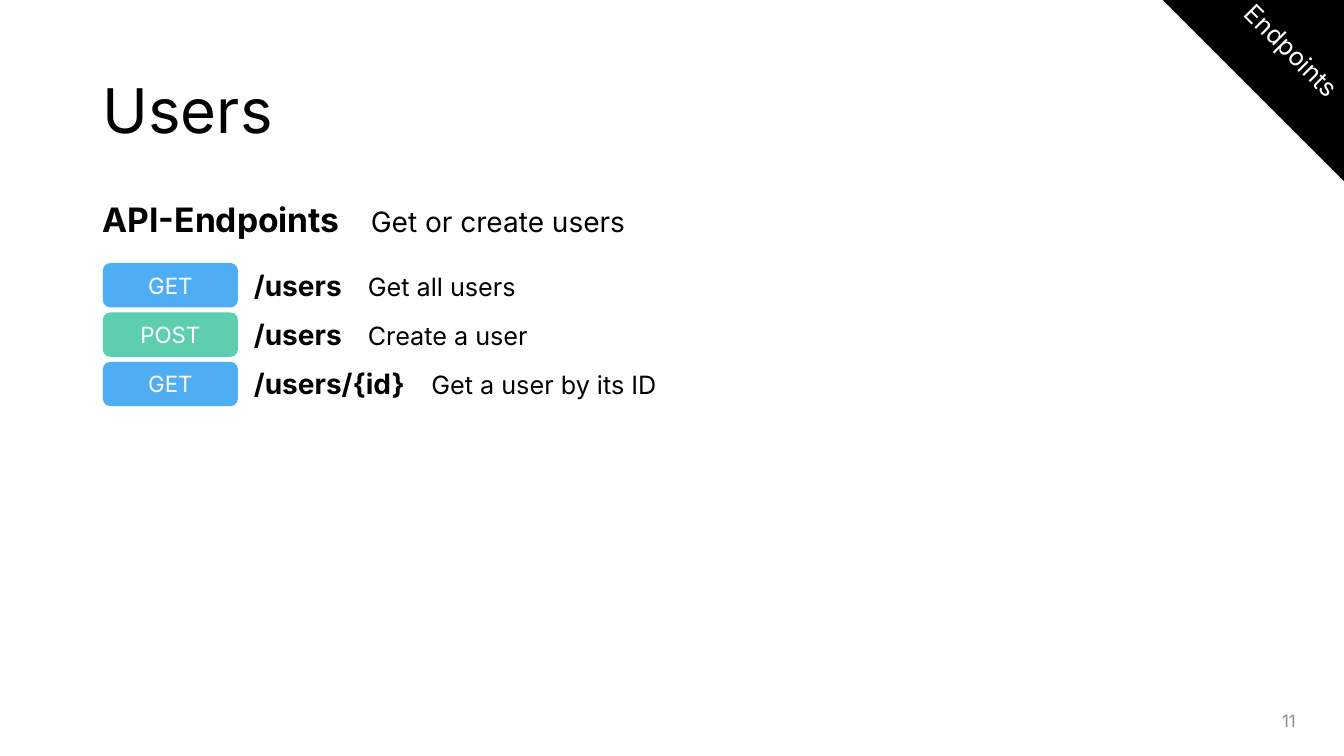
from dataclasses import dataclass

from lxml.etree import SubElement
from pptx import Presentation
from pptx.dml.color import RGBColor
from pptx.enum.shapes import MSO_SHAPE as Shape
from pptx.enum.text import MSO_ANCHOR as Anchor, PP_ALIGN as Align
from pptx.oxml.ns import qn
from pptx.util import Inches, Pt


@dataclass(frozen=True)
class Theme:
    font: str = "Inter"
    ink: str = "000000"
    paper: str = "FFFFFF"
    muted: str = "8C8C8C"
    get: str = "4FADF3"
    post: str = "5DCEAF"
    title: int = 44
    heading: int = 24
    lead: int = 20
    body: int = 18
    badge: int = 16
    footer: int = 12


THEME = Theme()
METHOD_COLORS = {"GET": THEME.get, "POST": THEME.post}
ENDPOINTS = [
    ("GET", "/users", "Get all users", 1.13),
    ("POST", "/users", "Create a user", 1.13),
    ("GET", "/users/{id}", "Get a user by its ID", 1.76),
]


def add_run(paragraph, text, size, color=THEME.ink, bold=False):
    run = paragraph.add_run()
    run.text = text
    run.font.name = THEME.font
    run.font.size = Pt(size)
    run.font.bold = bold
    run.font.color.rgb = RGBColor.from_string(color)


def add_text(slide, left, top, width, height, anchor=Anchor.TOP):
    label = slide.shapes.add_textbox(
        Inches(left), Inches(top), Inches(width), Inches(height))
    label.text_frame.word_wrap = True
    label.text_frame.vertical_anchor = anchor
    return label.text_frame.paragraphs[0]


def add_filled(slide, kind, left, top, width, height, color):
    panel = slide.shapes.add_shape(
        kind, Inches(left), Inches(top), Inches(width), Inches(height))
    panel.shadow.inherit = False
    panel.fill.solid()
    panel.fill.fore_color.rgb = RGBColor.from_string(color)
    panel.line.fill.background()
    panel.text_frame.paragraphs[0].alignment = Align.CENTER
    return panel


def add_term(slide, left, top, width, height, term, meaning, tab, sizes):
    line = add_text(slide, left, top, width, height)
    stops = SubElement(line._p.get_or_add_pPr(), qn("a:tabLst"))
    SubElement(stops, qn("a:tab"), pos=str(Inches(tab)), algn="l")
    term_size, meaning_size = sizes
    add_run(line, term + "\t", term_size, bold=True)
    add_run(line, meaning, meaning_size)


def add_title(slide, left, top, width, height, text):
    title = add_text(slide, left, top, width, height, Anchor.MIDDLE)
    title.line_spacing = 0.9
    add_run(title, text, THEME.title)


def add_endpoint(slide, left, top, width, height, method, route, summary, tab):
    badge_width, gap = 1.34, 0.06
    badge = add_filled(slide, Shape.ROUNDED_RECTANGLE, left, top,
                       badge_width, height, METHOD_COLORS[method])
    badge.text_frame.vertical_anchor = Anchor.MIDDLE
    add_run(badge.text_frame.paragraphs[0], method, THEME.badge, THEME.paper)
    offset = badge_width + gap
    add_term(slide, left + offset, top, width - offset, height,
             route, summary, tab, (THEME.lead, THEME.body))


def add_endpoint_list(slide, left, top, width, row_height, pitch):
    for index, endpoint in enumerate(ENDPOINTS):
        add_endpoint(slide, left, top + index * pitch, width, row_height, *endpoint)


def add_corner_ribbon(slide, left, top, width, height, text):
    ribbon = add_filled(slide, Shape.ISOSCELES_TRIANGLE,
                        left, top, width, height, THEME.ink)
    ribbon.rotation = 45
    ribbon.line.color.rgb = RGBColor.from_string(THEME.ink)
    ribbon.line.width = Pt(1)
    frame = ribbon.text_frame
    frame.margin_left = frame.margin_right = 0
    frame.margin_top = frame.margin_bottom = 0
    frame.word_wrap = False
    frame.vertical_anchor = Anchor.TOP
    add_run(frame.paragraphs[0], text, THEME.body, THEME.paper)


def add_page_number(slide, left, top, width, height, number):
    page = add_text(slide, left, top, width, height, Anchor.MIDDLE)
    page.alignment = Align.RIGHT
    add_run(page, number, THEME.footer, THEME.muted)


def main():
    deck = Presentation()
    deck.slide_width = Inches(13.33)
    deck.slide_height = Inches(7.5)
    slide = deck.slides.add_slide(deck.slide_layouts[6])
    slide.background.fill.solid()
    slide.background.fill.fore_color.rgb = RGBColor.from_string(THEME.paper)

    add_title(slide, 0.92, 0.4, 11.5, 1.45, "Users")
    add_term(slide, 0.92, 1.92, 5.8, 0.5, "API-Endpoints",
             "Get or create users", 2.66, (THEME.heading, THEME.lead))
    add_endpoint_list(slide, 1.02, 2.61, 5.74, 0.44, 0.49)
    add_page_number(slide, 9.95, 6.95, 3, 0.4, "11")
    add_corner_ribbon(slide, 11.58, -0.3, 2.68, 1.39, "Endpoints")
    deck.save("out.pptx")


if __name__ == "__main__":
    main()
